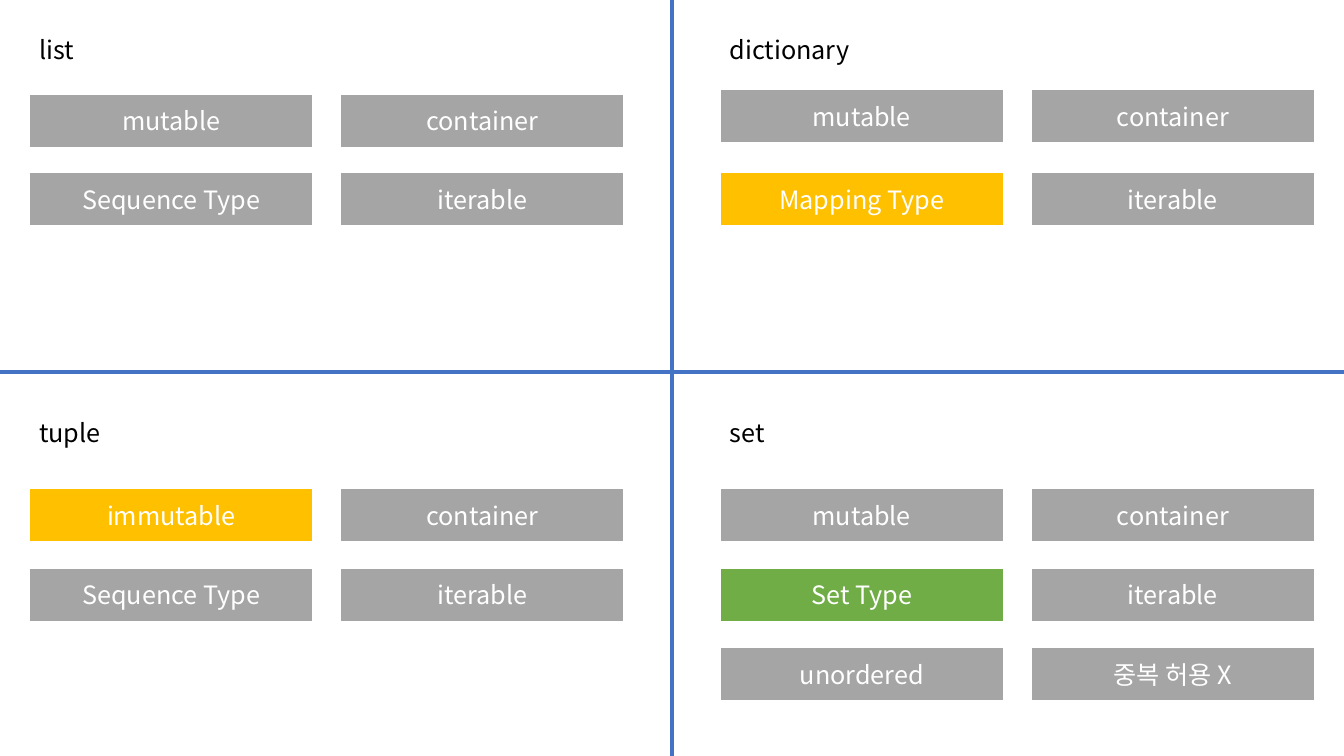
from dataclasses import dataclass

from lxml import etree
from pptx import Presentation
from pptx.dml.color import RGBColor
from pptx.enum.shapes import MSO_CONNECTOR, MSO_SHAPE
from pptx.enum.text import MSO_ANCHOR, PP_ALIGN
from pptx.oxml.ns import qn
from pptx.util import Cm, Pt

STRAIGHT = MSO_CONNECTOR.STRAIGHT
RECTANGLE = MSO_SHAPE.RECTANGLE
LEFT, CENTER = PP_ALIGN.LEFT, PP_ALIGN.CENTER
TOP, MIDDLE = MSO_ANCHOR.TOP, MSO_ANCHOR.MIDDLE


@dataclass(frozen=True)
class Theme:
    font: str = "Noto Sans CJK KR"
    size: int = 18
    ink: str = "000000"
    white: str = "FFFFFF"
    divider: str = "4472C4"
    common: str = "A5A5A5"
    contrast: str = "FFC000"
    unique: str = "70AD47"
    divider_width: float = 3
    outline_width: float = 1.5


THEME = Theme()

# Measures in centimetres
PAGE_WIDTH, PAGE_HEIGHT = 33.87, 19.05
DIVIDER_X, DIVIDER_Y = PAGE_WIDTH / 2, 9.37
LEFT_PANEL, RIGHT_PANEL = 0.74, 18.14
TOP_LABEL, BOTTOM_LABEL = 0.74, 10.39
BOX_WIDTH, BOX_HEIGHT, LABEL_HEIGHT = 7.16, 1.37, 1.02
COLUMN_STEP = 7.84

# Fills of the traits that set a type apart
HIGHLIGHTS = {
    "Mapping Type": THEME.contrast,
    "immutable": THEME.contrast,
    "Set Type": THEME.unique,
}

# Name, left, label top, first row top, row step, rows of traits
PANELS = [
    ("list", LEFT_PANEL, TOP_LABEL, 2.36, 1.98,
     [("mutable", "container"), ("Sequence Type", "iterable")]),
    ("dictionary", RIGHT_PANEL, TOP_LABEL, 2.24, 2.1,
     [("mutable", "container"), ("Mapping Type", "iterable")]),
    ("tuple", LEFT_PANEL, BOTTOM_LABEL, 12.3, 2,
     [("immutable", "container"), ("Sequence Type", "iterable")]),
    ("set", RIGHT_PANEL, BOTTOM_LABEL, 12.3, 2,
     [("mutable", "container"), ("Set Type", "iterable"),
      ("unordered", "중복 허용 X")]),
]


def apply_format(target, values):
    for name, value in values.items():
        setattr(target, name, value)


def write_text(box, text, color, align, anchor):
    frame = box.text_frame
    apply_format(frame, {"word_wrap": True, "vertical_anchor": anchor})
    para = frame.paragraphs[0]
    para.alignment = align
    span = para.add_run()
    span.text = text
    apply_format(span.font, {"name": THEME.font, "size": Pt(THEME.size)})
    span.font.color.rgb = RGBColor.from_string(color)
    # Hangul takes its typeface from the East Asian slot
    etree.SubElement(span._r.get_or_add_rPr(), qn("a:ea"), typeface=THEME.font)


def style_line(line, color, width):
    line.color.rgb = RGBColor.from_string(color)
    line.width = Pt(width)


def add_divider(page, *ends):
    divider = page.shapes.add_connector(STRAIGHT, *map(Cm, ends))
    style_line(divider.line, THEME.divider, THEME.divider_width)
    etree.SubElement(divider._element.spPr, qn("a:effectLst"))


def add_label(page, text, left, top):
    box = page.shapes.add_textbox(*map(Cm, (left, top, BOX_WIDTH, LABEL_HEIGHT)))
    write_text(box, text, THEME.ink, LEFT, TOP)


def add_trait(page, text, left, top):
    box = page.shapes.add_shape(
        RECTANGLE, *map(Cm, (left, top, BOX_WIDTH, BOX_HEIGHT)))
    box.shadow.inherit = False
    box.fill.solid()
    box.fill.fore_color.rgb = RGBColor.from_string(
        HIGHLIGHTS.get(text, THEME.common))
    style_line(box.line, THEME.white, THEME.outline_width)
    write_text(box, text, THEME.white, CENTER, MIDDLE)


def add_panel(page, name, left, label_top, first_top, row_step, rows):
    add_label(page, name, left, label_top)
    for row, traits in enumerate(rows):
        for column, trait in enumerate(traits):
            add_trait(page, trait, left + column * COLUMN_STEP,
                      first_top + row * row_step)


def main():
    deck = Presentation()
    apply_format(deck, {"slide_width": Cm(PAGE_WIDTH),
                        "slide_height": Cm(PAGE_HEIGHT)})
    page = deck.slides.add_slide(deck.slide_layouts.get_by_name("Blank"))

    # Cross that parts the page into four
    add_divider(page, 0, DIVIDER_Y, PAGE_WIDTH, DIVIDER_Y)
    add_divider(page, DIVIDER_X, 0, DIVIDER_X, PAGE_HEIGHT)

    # One panel for each collection type
    for panel in PANELS:
        add_panel(page, *panel)

    deck.save("out.pptx")


main()
